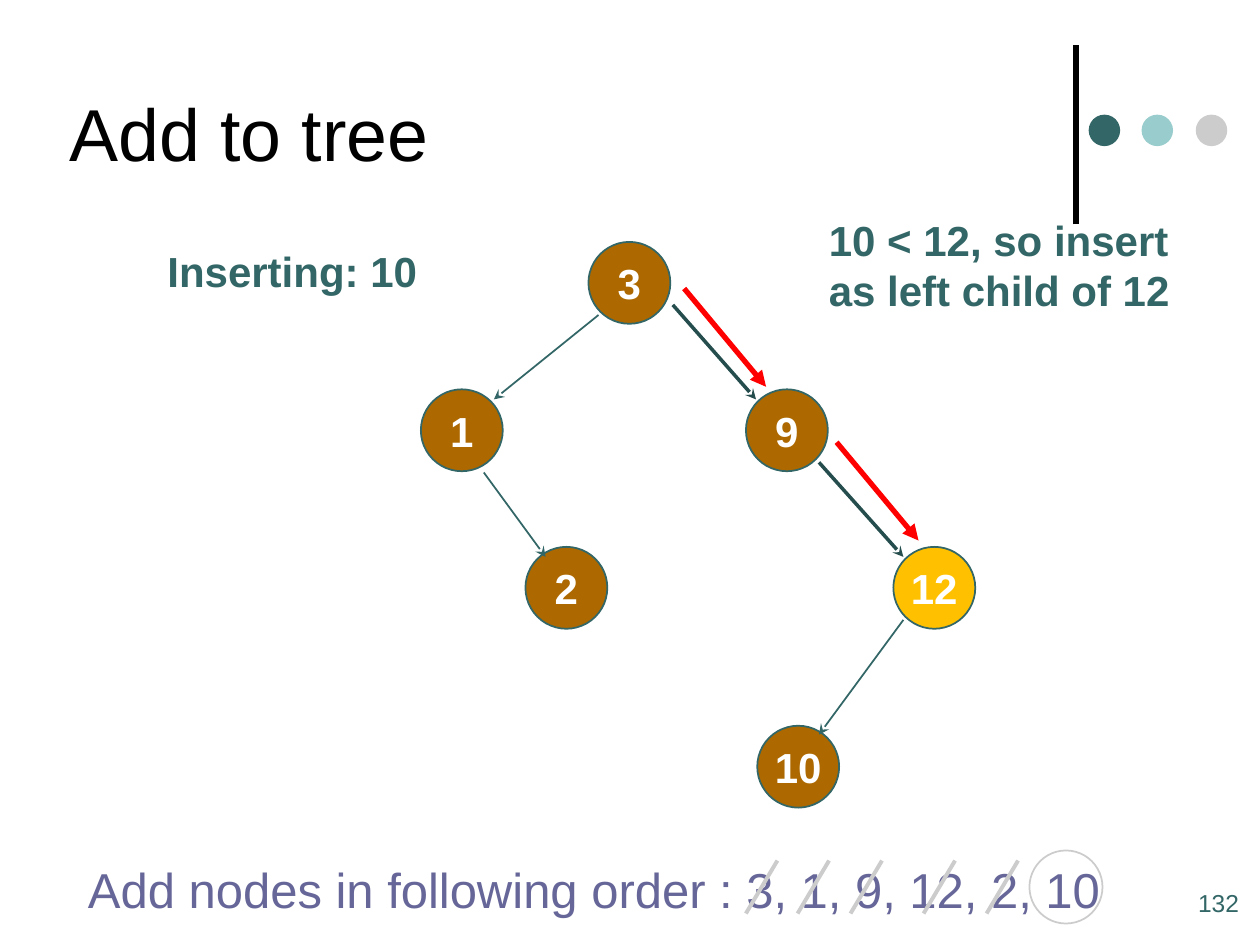
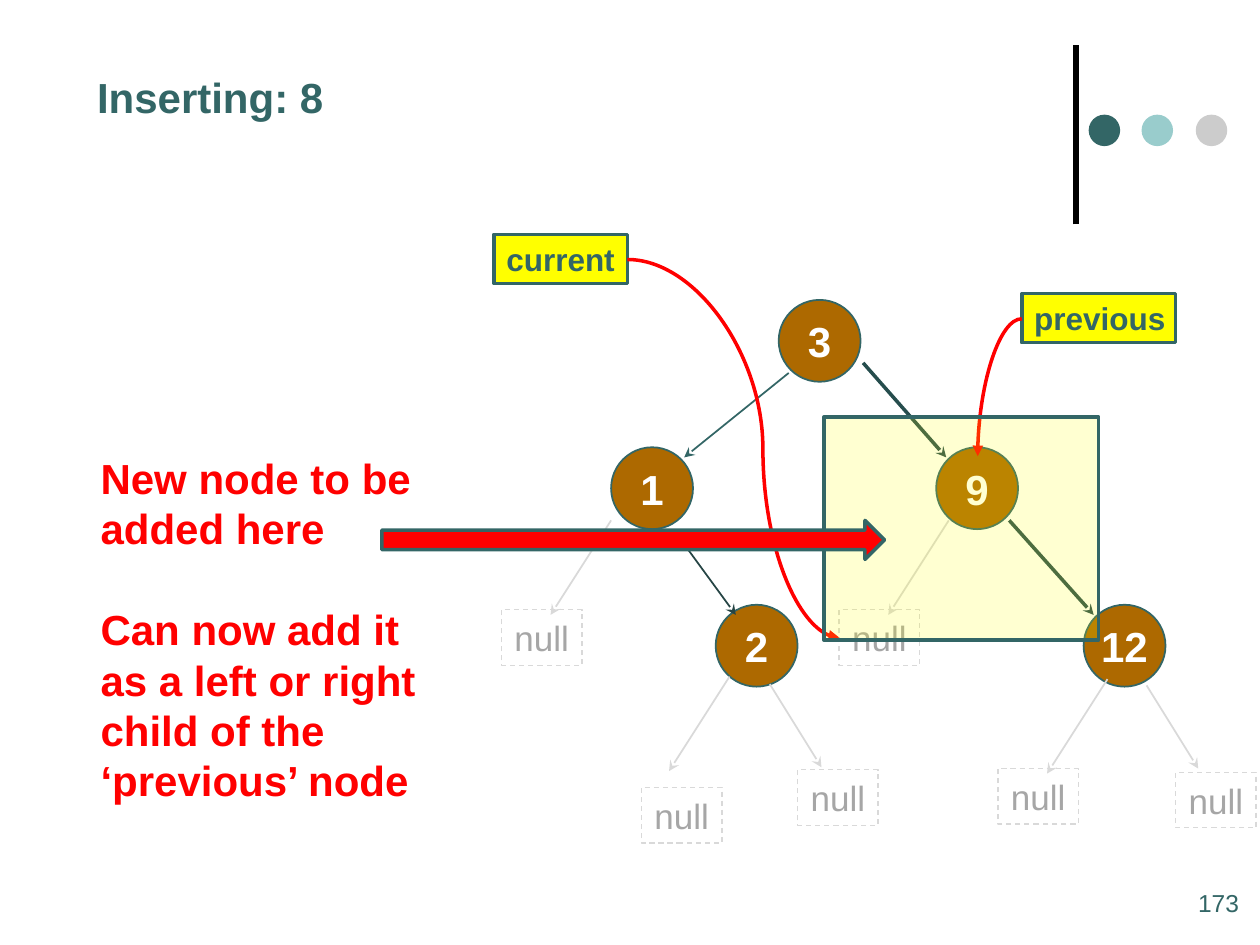
from dataclasses import dataclass

from lxml import etree
from pptx import Presentation
from pptx import util as u
from pptx.dml.color import RGBColor
from pptx.enum import dml, shapes, text
from pptx.oxml import ns

Shape = shapes.MSO_SHAPE
Cxn = shapes.MSO_CONNECTOR
Align = text.PP_ALIGN
Anchor = text.MSO_ANCHOR


@dataclass(frozen=True)
class Theme:
    font: str = "Arial"
    black: str = "000000"
    white: str = "FFFFFF"
    teal: str = "336666"
    aqua: str = "99CCCC"
    silver: str = "CCCCCC"
    edge: str = "264D4D"
    edge_dim: str = "264545"
    node: str = "AD6900"
    gold: str = "FFC000"
    red: str = "FF0000"
    yellow: str = "FFFF00"
    violet: str = "666699"
    null_line: str = "D9D9D9"
    null_text: str = "A6A6A6"
    title: int = 42
    order: int = 28
    body: int = 24
    null: int = 20
    tag: int = 18
    number: int = 14


T = Theme()
NODE = 0.65
NODE_POS = {"3": (0, 0), "1": (-1.33, 1.17), "9": (1.25, 1.17),
            "12": (2.42, 2.42), "2": (-0.5, 2.42), "10": (1.34, 3.84)}
NULL_W, NULL_H = 0.64, 0.44
LEFT_STEP, RIGHT_STEP = (-0.48, 0.75), (0.41, 0.66)
NULLS = [((-0.39, 2.99), LEFT_STEP, (-1.09, 3.87)),
         ((-0.07, 3.05), RIGHT_STEP, (0.15, 3.73)),
         ((2.61, 3.01), LEFT_STEP, (1.74, 3.72)),
         ((2.92, 3.06), RIGHT_STEP, (3.15, 3.75)),
         ((-1.33, 1.75), LEFT_STEP, (-2.2, 2.46)),
         ((1.35, 1.75), LEFT_STEP, (0.48, 2.46))]


def rgb(color):
    return RGBColor.from_string(color)


def inches(*values):
    return [u.Inches(round(v, 2)) for v in values]


def set_all(obj, fmt):
    for name, value in fmt.items():
        setattr(obj, name, value)


def write(sp, lines, size, color, bold=False, align=Align.LEFT,
          anchor=Anchor.TOP, gaps=None):
    tf = sp.text_frame
    set_all(tf, {"word_wrap": False, "vertical_anchor": anchor,
                 "auto_size": text.MSO_AUTO_SIZE.NONE,
                 "margin_left": u.Inches(0.1), "margin_right": u.Inches(0.1),
                 "margin_top": u.Inches(0.05), "margin_bottom": u.Inches(0.05)})
    for i, line in enumerate(lines):
        p = tf.add_paragraph() if i else tf.paragraphs[0]
        p.text = line
        set_all(p, {"alignment": align, "space_before": u.Pt((gaps or {}).get(i, 0))})
        for r in p.runs:
            set_all(r.font, {"name": T.font, "size": u.Pt(size), "bold": bold})
            r.font.color.rgb = rgb(color)


def add_text(s, box, lines, size, color, **fmt):
    sp = s.shapes.add_textbox(*inches(*box))
    write(sp, lines, size, color, **fmt)


def add_title(s, box, title, size, color, **fmt):
    sp = s.shapes.title
    set_all(sp, dict(zip(("left", "top", "width", "height"), inches(*box))))
    write(sp, [title], size, color, **fmt)


def add_shape(s, kind, box, fill=None, line=None, width=1.0, dash=None):
    sp = s.shapes.add_shape(kind, *inches(*box))
    sp.shadow.inherit = False
    if fill:
        sp.fill.solid()
        sp.fill.fore_color.rgb = rgb(fill)
    else:
        sp.fill.background()
    if line:
        sp.line.color.rgb = rgb(line)
        set_all(sp.line, {"width": u.Pt(width), "dash_style": dash})
    else:
        sp.line.fill.background()
    return sp


def add_line(s, start, end, color, width, head=None, kind=Cxn.STRAIGHT):
    cxn = s.shapes.add_connector(kind, *inches(*start, *end))
    cxn.line.color.rgb = rgb(color)
    cxn.line.width = u.Pt(width)
    if head:
        etree.SubElement(cxn.line._get_or_add_ln(), ns.qn("a:tailEnd"), type=head)
    etree.SubElement(cxn._element.spPr, ns.qn("a:effectLst"))
    return cxn


def add_curve(s, start, end, preset, bend=None):
    cxn = add_line(s, start, end, T.red, 2, "triangle", Cxn.CURVE)
    geom = cxn._element.spPr.find(ns.qn("a:prstGeom"))
    geom.set("prst", preset)
    if bend:
        guides = geom.find(ns.qn("a:avLst"))
        if guides is None:
            guides = etree.SubElement(geom, ns.qn("a:avLst"))
        etree.SubElement(guides, ns.qn("a:gd"), name="adj1",
                         fmla=f"val {round(bend * 100000)}")


def add_frame(s, number):
    x, y = 8.54, 0.36
    add_line(s, (x, y + 1.42), (x, y), T.black, 3)
    for i, color in enumerate((T.teal, T.aqua, T.silver)):
        add_shape(s, Shape.OVAL, (x + 0.1 + i * 0.425, y + 0.55, 0.25, 0.25), color)
    add_text(s, (9.41, 7, 0.59, 0.5), [number], T.number, T.teal)


def add_node(s, root, label, fill=T.node):
    dx, dy = NODE_POS[label]
    sp = add_shape(s, Shape.OVAL, (root[0] + dx, root[1] + dy, NODE, NODE), fill, T.teal)
    write(sp, [label], T.body, T.white, bold=True, align=Align.CENTER,
          anchor=Anchor.MIDDLE)


def add_edge(s, root, start, end, color, width=1, head="stealth"):
    x, y = root
    add_line(s, (x + start[0], y + start[1]), (x + end[0], y + end[1]),
             color, width, head)


def add_tree(s, root, fills, lower_edge):
    for label in ("3", "1", "9", "12", "2"):
        add_node(s, root, label, fills.get(label, T.node))
    add_edge(s, root, (0.08, 0.58), (-0.75, 1.25), T.teal)
    add_edge(s, root, (-0.83, 1.83), (-0.34, 2.5), lower_edge)
    add_edge(s, root, (0.67, 0.5), (1.33, 1.25), T.edge, 2)
    add_edge(s, root, (1.83, 1.75), (2.5, 2.5), T.edge, 2)


def add_nulls(s, root):
    for start, step, box in NULLS:
        end = (start[0] + step[0], start[1] + step[1])
        add_edge(s, root, start, end, T.null_line)
        sp = add_shape(s, Shape.RECTANGLE,
                       (root[0] + box[0], root[1] + box[1], NULL_W, NULL_H),
                       line=T.null_line, width=0.75, dash=dml.MSO_LINE.DASH)
        write(sp, ["null"], T.null, T.null_text, align=Align.CENTER,
              anchor=Anchor.MIDDLE)


def add_tag(s, box, label):
    sp = add_shape(s, Shape.RECTANGLE, box, T.yellow, T.teal, 2)
    write(sp, [label], T.tag, T.teal, bold=True, anchor=Anchor.MIDDLE)


def add_order(s, x, y):
    add_text(s, (x, y, 8.3, 0.57), ["Add nodes in following order : 3, 1, 9, 12, 2, 10"],
             T.order, T.violet)
    add_shape(s, Shape.OVAL, (x + 7.57, y - 0.02, 0.58, 0.58), line=T.silver)
    for dx in (5.57, 5.98, 6.4, 6.98, 7.48):
        add_line(s, (x + dx, y + 0.06), (x + dx - 0.25, y + 0.48), T.silver, 2.25)


def add_highlight(s, box):
    sp = add_shape(s, Shape.RECTANGLE, box, T.yellow, T.teal, 2)
    color = sp._element.spPr.find(ns.qn("a:solidFill"))[0]
    etree.SubElement(color, ns.qn("a:alpha"), val="18000")


def insert_ten(s):
    root = (4.67, 1.92)
    add_frame(s, "132")
    add_title(s, (0.45, 0.21, 7.67, 1.67), "Add to tree", T.title, T.black,
              anchor=Anchor.MIDDLE)
    add_text(s, (1.23, 1.9, 2.18, 0.5), ["Inserting: 10"], T.body, T.teal, bold=True)
    add_text(s, (6.48, 1.65, 2.91, 0.9), ["10 < 12, so insert", "as left child of 12"],
             T.body, T.teal, bold=True)
    add_tree(s, root, {"12": T.gold}, T.teal)
    add_node(s, root, "10")
    add_edge(s, root, (2.5, 3), (1.83, 3.91), T.teal)
    add_order(s, 0.6, 6.77)
    for start in ((0.76, 0.37), (1.97, 1.59)):
        add_edge(s, root, start, (start[0] + 0.65, start[1] + 0.78), T.red, 3, "triangle")


def insert_eight(s):
    root = (6.18, 2.38)
    add_frame(s, "173")
    add_title(s, (0.67, 0.52, 2.02, 0.51), "Inserting: 8", T.body, T.teal, bold=True)
    add_tree(s, root, {}, T.edge_dim)
    add_nulls(s, root)
    add_tag(s, (3.92, 1.86, 1.06, 0.39), "current")
    add_curve(s, (4.98, 2.06), (6.66, 5.06), "curvedConnector3", 0.64)
    add_tag(s, (8.11, 2.33, 1.22, 0.39), "previous")
    add_curve(s, (8.11, 2.53), (7.76, 3.62), "curvedConnector2")
    add_highlight(s, (6.54, 3.31, 2.18, 1.77))
    add_text(s, (0.7, 3.54, 2.87, 2.93),
             ["New node to be", "added here",
              "Can now add it\vas a left or right\vchild of the\v‘previous’ node"],
             T.body, T.red, bold=True, gaps={2: 29})
    add_shape(s, Shape.RIGHT_ARROW, (3.03, 4.13, 3.99, 0.31), T.red, T.teal, 2)


def main():
    prs = Presentation()
    set_all(prs, {"slide_width": u.Inches(10), "slide_height": u.Inches(7.5)})
    for build in (insert_ten, insert_eight):
        build(prs.slides.add_slide(prs.slide_layouts[5]))
    prs.save("out.pptx")


if __name__ == "__main__":
    main()
